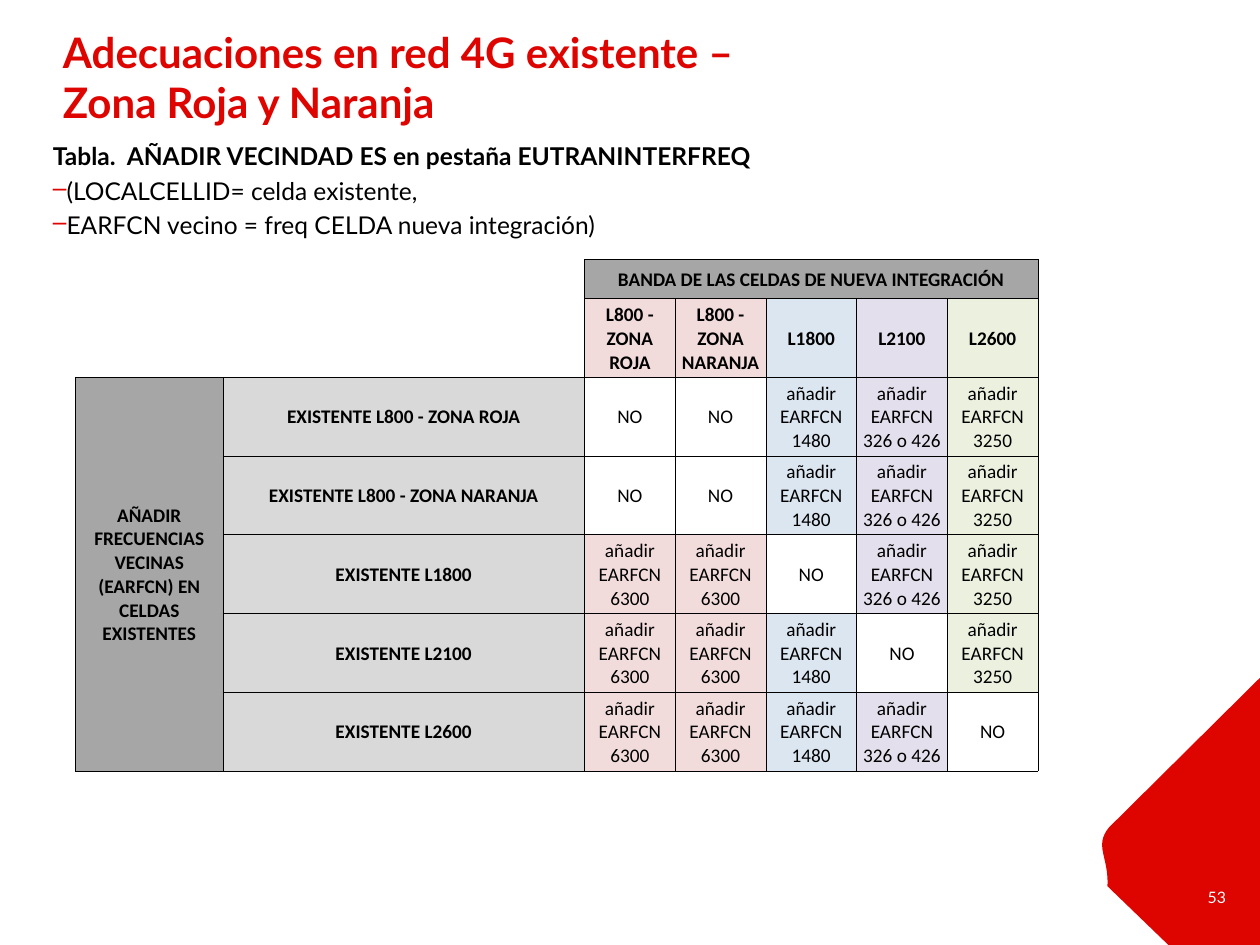
from dataclasses import dataclass

from lxml.etree import SubElement
from pptx import Presentation
from pptx.dml.color import RGBColor
from pptx.enum.text import MSO_ANCHOR, PP_ALIGN
from pptx.oxml import parse_xml
from pptx.oxml.ns import nsdecls, qn
from pptx.util import Inches, Pt


@dataclass(frozen=True)
class Theme:
    red: str = "DE0400"
    black: str = "000000"
    white: str = "FFFFFF"
    dark_gray: str = "A6A6A6"
    light_gray: str = "D9D9D9"
    text_font: str = "Lato"
    table_font: str = "Calibri"
    title_size: float = 24
    body_size: float = 14
    table_size: float = 11
    number_size: float = 9
    border_width: float = 0.5


THEME = Theme()

# Column heading, band, neighbour frequency, fill
NEW_CELLS = [
    ("L800 - ZONA ROJA", "L800", "6300", "F2DCDB"),
    ("L800 - ZONA NARANJA", "L800", "6300", "F2DCDB"),
    ("L1800", "L1800", "1480", "DCE6F1"),
    ("L2100", "L2100", "326 o 426", "E4DFEC"),
    ("L2600", "L2600", "3250", "EBF1DE"),
]


def write_para(para, text, size, font=THEME.text_font, color=THEME.black,
               bold=False, align=PP_ALIGN.LEFT, after=0, bullet=None):
    para.text = text
    para.alignment = align
    para.space_after = Pt(after)
    for span in para.runs:
        span.font.size = Pt(size)
        span.font.name = font
        span.font.bold = bold
        span.font.color.rgb = RGBColor.from_string(color)
    if bullet:
        properties = para._p.get_or_add_pPr()
        properties.set("marL", "0")
        properties.set("indent", str(-Inches(0.2)))
        bullet_color = SubElement(properties, qn("a:buClr"))
        SubElement(bullet_color, qn("a:srgbClr")).set("val", THEME.red)
        SubElement(properties, qn("a:buChar")).set("char", bullet)


def add_text_frame(page, box, insets=(0, 0, 0, 0), anchor=MSO_ANCHOR.TOP):
    frame = page.shapes.add_textbox(*map(Inches, box)).text_frame
    frame.word_wrap = True
    frame.vertical_anchor = anchor
    (frame.margin_left, frame.margin_top,
     frame.margin_right, frame.margin_bottom) = map(Inches, insets)
    return frame


def add_corner(page, box):
    """Red corner with a softly curved left tip, as shares of the box."""
    left, top, width, height = box
    # Bezier control points of the tip, from its lower to its upper end
    tip = [(0, 0.78), (0.01, 0.67), (-0.09, 0.63), (0.01, 0.56)]
    steps = 16
    curve = []
    for step in range(steps + 1):
        t = step / steps
        weights = ((1 - t) ** 3, 3 * t * (1 - t) ** 2, 3 * t ** 2 * (1 - t), t ** 3)
        curve.append(tuple(sum(w * point[axis] for w, point in zip(weights, tip))
                           for axis in (0, 1)))
    outline = [(Inches(left + x * width), Inches(top + y * height))
               for x, y in [(1, 0), (1, 1), (0.4, 1)] + curve]
    builder = page.shapes.build_freeform(*outline[0], scale=1.0)
    builder.add_line_segments(outline[1:], close=True)
    corner = builder.convert_to_shape()
    corner.shadow.inherit = False
    corner.fill.solid()
    corner.fill.fore_color.rgb = RGBColor.from_string(THEME.red)
    corner.line.fill.background()


def add_title(page, box):
    frame = add_text_frame(page, box)
    write_para(frame.paragraphs[0], "Adecuaciones en red 4G existente – \vZona Roja y Naranja",
               THEME.title_size, color=THEME.red, bold=True)


def add_body(page, box):
    frame = add_text_frame(page, box, insets=(0, 0, 0.08, 0))
    write_para(frame.paragraphs[0], "Tabla.  AÑADIR VECINDAD ES en pestaña EUTRANINTERFREQ",
               THEME.body_size, bold=True, after=3)
    for text in ("(LOCALCELLID= celda existente,",
                 "EARFCN vecino = freq CELDA nueva integración)"):
        write_para(frame.add_paragraph(), text, THEME.body_size, after=3, bullet="–")


def add_page_number(page, box):
    frame = add_text_frame(page, box, (0.1, 0.05, 0, 0.05), MSO_ANCHOR.MIDDLE)
    write_para(frame.paragraphs[0], "53", THEME.number_size,
               color=THEME.white, align=PP_ALIGN.RIGHT)


def set_borders(cell, sides):
    properties = cell._tc.get_or_add_tcPr()
    for index, side in enumerate("LRTB"):
        paint = (f'<a:solidFill><a:srgbClr val="{THEME.black}"/></a:solidFill>'
                 if side in sides else "<a:noFill/>")
        properties.insert(index, parse_xml(
            f'<a:ln{side} {nsdecls("a")} w="{Pt(THEME.border_width)}">{paint}</a:ln{side}>'))


def fill_cell(cell, text="", fill=None, bold=False, sides="LRTB"):
    cell.vertical_anchor = MSO_ANCHOR.MIDDLE
    cell.margin_left = cell.margin_right = cell.margin_top = Inches(0.01)
    cell.margin_bottom = 0
    if fill:
        cell.fill.solid()
        cell.fill.fore_color.rgb = RGBColor.from_string(fill)
    else:
        cell.fill.background()
    set_borders(cell, sides)
    if text:
        write_para(cell.text_frame.paragraphs[0], text, THEME.table_size,
                   font=THEME.table_font, bold=bold, align=PP_ALIGN.CENTER)


def add_neighbour_table(page, box):
    count = len(NEW_CELLS)
    table = page.shapes.add_table(count + 2, count + 2, *map(Inches, box)).table
    table.first_row = table.horz_banding = False
    for column, width in zip(table.columns, [1.17, 2.87] + [0.72] * count):
        column.width = Inches(width)
    for row, height in zip(table.rows, [0.26] + [0.625] * (count + 1)):
        row.height = Inches(height)

    # Empty corner, bordered only where it meets the headings
    for row in range(2):
        for column in range(2):
            sides = ("R" if column else "") + ("B" if row else "")
            fill_cell(table.cell(row, column), fill=THEME.white, sides=sides)

    # Merged headings
    for index in range(count):
        fill_cell(table.cell(0, index + 2), fill=THEME.dark_gray, bold=True,
                  text="" if index else "BANDA DE LAS CELDAS DE NUEVA INTEGRACIÓN")
        fill_cell(table.cell(index + 2, 0), fill=THEME.dark_gray, bold=True,
                  text="" if index else
                  "AÑADIR FRECUENCIAS VECINAS (EARFCN) EN CELDAS EXISTENTES")
    table.cell(0, 2).merge(table.cell(0, count + 1))
    table.cell(2, 0).merge(table.cell(count + 1, 0))

    # Band headings and the frequencies between different bands
    for row, (row_name, row_band, _, _) in enumerate(NEW_CELLS, 2):
        fill_cell(table.cell(row, 1), f"EXISTENTE {row_name}", THEME.light_gray, bold=True)
        for column, (name, band, frequency, fill) in enumerate(NEW_CELLS, 2):
            if row == 2:
                fill_cell(table.cell(1, column), name, fill, bold=True)
            if band == row_band:
                fill_cell(table.cell(row, column), "NO")
            else:
                fill_cell(table.cell(row, column), f"añadir EARFCN {frequency}", fill)


def main():
    deck = Presentation()
    deck.slide_width, deck.slide_height = Inches(10), Inches(7.5)
    page = deck.slides.add_slide(deck.slide_layouts[6])
    add_corner(page, (8.79, 5.38, 1.21, 2.12))
    add_title(page, (0.5, 0.21, 8.04, 1.14))
    add_body(page, (0.42, 1.12, 9.11, 5.35))
    add_page_number(page, (8.67, 6.92, 1.06, 0.4))
    add_neighbour_table(page, (0.6, 2.06, 7.65, 4.01))
    deck.save("out.pptx")


if __name__ == "__main__":
    main()
